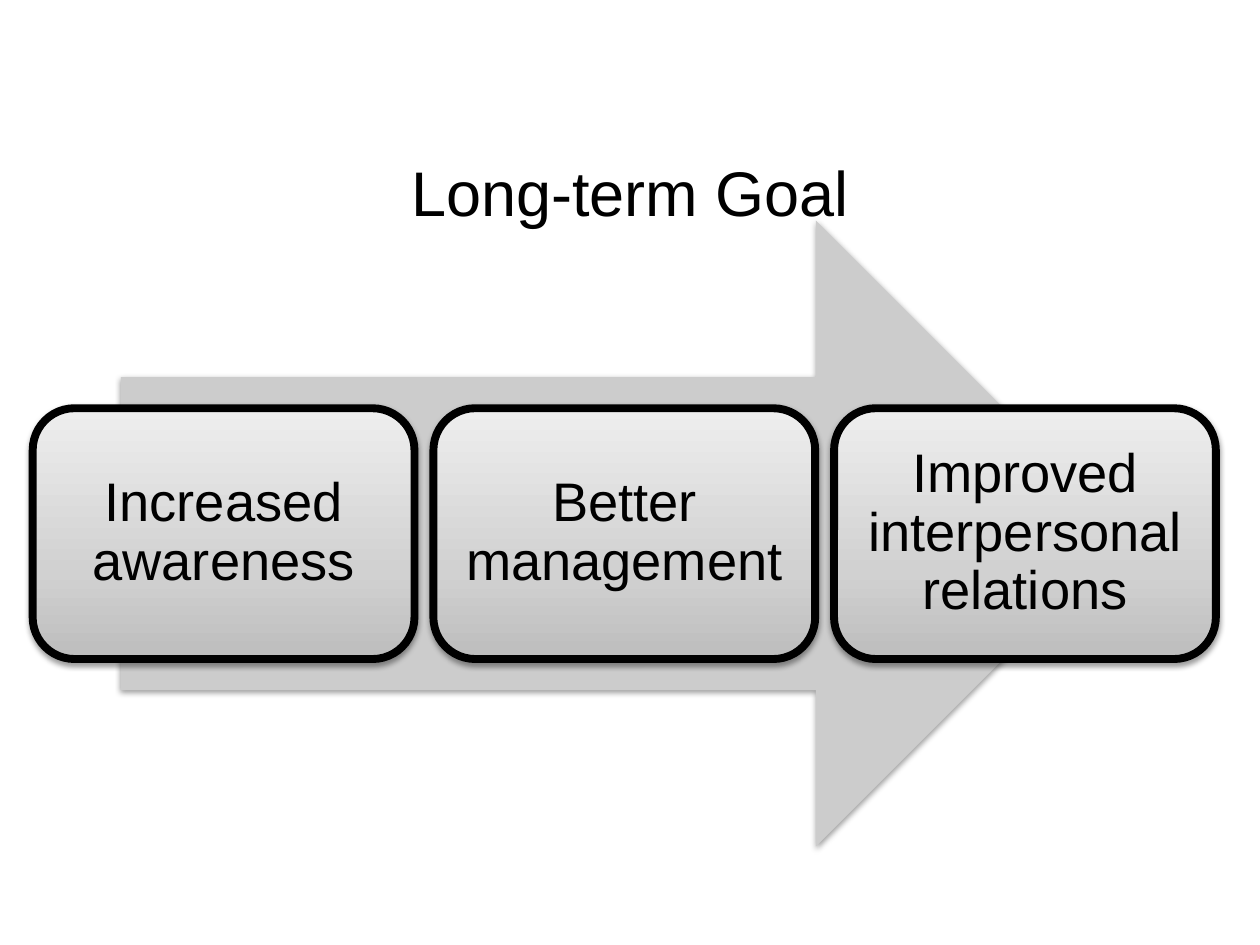
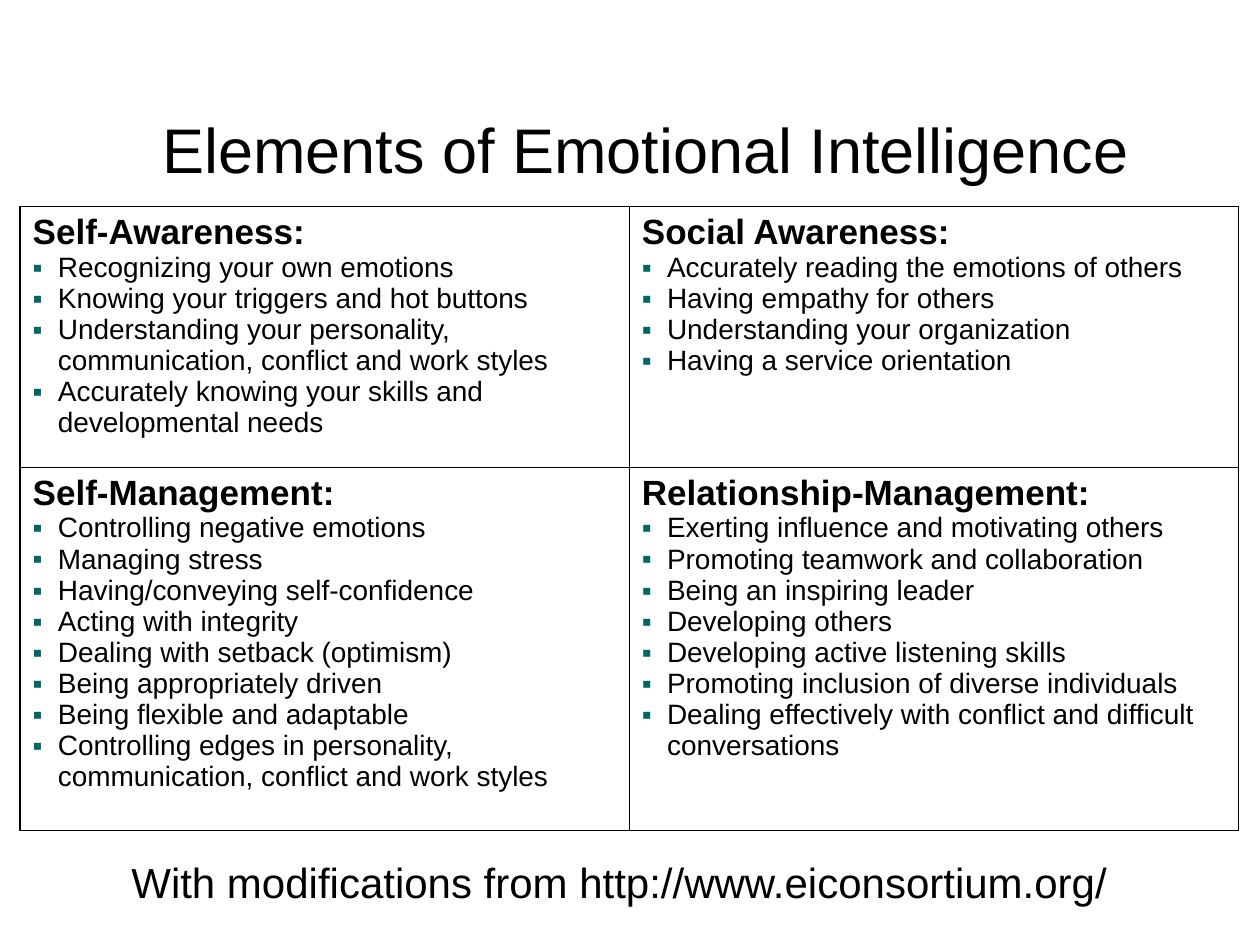
from dataclasses import dataclass

from lxml.etree import SubElement
from pptx import Presentation
from pptx.dml.color import RGBColor
from pptx.enum.shapes import MSO_SHAPE as Preset
from pptx.enum.text import MSO_ANCHOR as Anchor, PP_ALIGN as Align
from pptx.oxml.ns import qn
from pptx.util import Inches, Pt


@dataclass(frozen=True)
class Theme:
    font: str = "Arial"
    ink: str = "000000"
    paper: str = "FFFFFF"
    arrow: str = "CCCCCC"
    bullet: str = "006666"
    step_stops: tuple = ((0, "BDBDBD"), (35, "D1D1D1"), (100, "EEEEEE"))
    title_size: int = 36
    step_size: int = 31
    source_size: int = 24
    heading_size: int = 20
    item_size: int = 16


THEME = Theme()


def style(paragraph, size, align=Align.CENTER, bold=False):
    paragraph.alignment = align
    font = paragraph.font
    font.name, font.size, font.bold = THEME.font, Pt(size), bold
    font.color.rgb = RGBColor.from_string(THEME.ink)


def add_soft_shadow(shape):
    shape.shadow.inherit = False
    effects = shape._element.spPr.find(qn("a:effectLst"))
    shadow = SubElement(effects, qn("a:outerShdw"), blurRad=str(Pt(3.1)),
                        dist=str(Pt(1.6)), dir="5400000", rotWithShape="0")
    color = SubElement(shadow, qn("a:srgbClr"), val=THEME.ink)
    SubElement(color, qn("a:alpha"), val="38000")


deck = Presentation()
deck.slide_width, deck.slide_height = Inches(10), Inches(7.5)

# Titles
slides = []
for heading, top, width in (
    ("Long-term Goal", 1.17, 9),
    ("Elements of Emotional Intelligence", 0.83, 9.25),
):
    slide = deck.slides.add_slide(deck.slide_layouts[5])
    title = slide.shapes.title
    title.left, title.top = Inches(0.5), Inches(top)
    title.width, title.height = Inches(width), Inches(1.08)
    title.text_frame.text = heading
    title.text_frame.vertical_anchor = Anchor.TOP
    title.text_frame.margin_top = Inches(0.05)
    style(title.text_frame.paragraphs[0], THEME.title_size)
    slides.append(slide)
goal_slide, elements_slide = slides

# Long-term goal: three steps on an arrow
arrow = goal_slide.shapes.add_shape(
    Preset.RIGHT_ARROW, Inches(0.96), Inches(1.75), Inches(8), Inches(4.97))
arrow.fill.solid()
arrow.fill.fore_color.rgb = RGBColor.from_string(THEME.arrow)
arrow.line.fill.background()
add_soft_shadow(arrow)

STEP_LEFT, STEP_PITCH = 0.26, 3.18
steps = ("Increased awareness", "Better management", "Improved interpersonal relations")
for index, label in enumerate(steps):
    step = goal_slide.shapes.add_shape(
        Preset.ROUNDED_RECTANGLE, Inches(STEP_LEFT + index * STEP_PITCH),
        Inches(3.24), Inches(3.03), Inches(1.99))
    step.fill.gradient()
    step.fill.gradient_angle = 90
    stops = step._element.spPr.find(qn("a:gradFill")).find(qn("a:gsLst"))
    stops.clear()
    for position, color in THEME.step_stops:
        stop = SubElement(stops, qn("a:gs"), pos=str(position * 1000))
        SubElement(stop, qn("a:srgbClr"), val=color)
    step.line.color.rgb = RGBColor.from_string(THEME.ink)
    step.line.width = Pt(4.5)
    add_soft_shadow(step)
    frame = step.text_frame
    frame.word_wrap = True
    frame.vertical_anchor = Anchor.MIDDLE
    frame.margin_left = frame.margin_right = Inches(0.12)
    frame.margin_top = frame.margin_bottom = Inches(0.12)
    frame.text = label
    frame.paragraphs[0].line_spacing = 0.9
    style(frame.paragraphs[0], THEME.step_size)

# Elements of emotional intelligence: two-by-two table
quadrants = (
    (("Self-Awareness:", (
        "Recognizing your own emotions",
        "Knowing your triggers and hot buttons",
        "Understanding your personality, communication, conflict and work styles",
        "Accurately knowing your skills and developmental needs")),
     ("Social Awareness:", (
         "Accurately reading the emotions of others",
         "Having empathy for others",
         "Understanding your organization",
         "Having a service orientation"))),
    (("Self-Management:", (
        "Controlling negative emotions",
        "Managing stress",
        "Having/conveying self-confidence",
        "Acting with integrity",
        "Dealing with setback (optimism)",
        "Being appropriately driven",
        "Being flexible and adaptable",
        "Controlling edges in personality, communication, conflict and work styles")),
     ("Relationship-Management:", (
         "Exerting influence and motivating others",
         "Promoting teamwork and collaboration",
         "Being an inspiring leader",
         "Developing others",
         "Developing active listening skills",
         "Promoting inclusion of diverse individuals",
         "Dealing effectively with conflict and difficult conversations"))),
)
grid = elements_slide.shapes.add_table(
    2, 2, Inches(0.16), Inches(1.64), Inches(9.67), Inches(4.95)).table
grid.first_row = grid.horz_banding = False
for row, height in zip(grid.rows, (2.07, 2.88)):
    row.height = Inches(height)

for row_index, quadrant_row in enumerate(quadrants):
    for column_index, (heading, items) in enumerate(quadrant_row):
        cell = grid.cell(row_index, column_index)
        properties = cell._tc.get_or_add_tcPr()
        for side in ("lnL", "lnR", "lnT", "lnB"):
            border = SubElement(properties, qn(f"a:{side}"), w=str(Pt(1)))
            border_fill = SubElement(border, qn("a:solidFill"))
            SubElement(border_fill, qn("a:srgbClr"), val=THEME.ink)
        cell.fill.solid()
        cell.fill.fore_color.rgb = RGBColor.from_string(THEME.paper)
        cell.text_frame.text = heading
        style(cell.text_frame.paragraphs[0], THEME.heading_size, Align.LEFT, bold=True)
        for item in items:
            paragraph = cell.text_frame.add_paragraph()
            paragraph.text = item
            bullet = paragraph._p.get_or_add_pPr()
            bullet.set("marL", str(Inches(0.2)))
            bullet.set("indent", str(Inches(-0.2)))
            bullet_color = SubElement(bullet, qn("a:buClr"))
            SubElement(bullet_color, qn("a:srgbClr"), val=THEME.bullet)
            SubElement(bullet, qn("a:buFont"), typeface=THEME.font)
            SubElement(bullet, qn("a:buChar"), char="▪")
            style(paragraph, THEME.item_size, Align.LEFT)

source = elements_slide.shapes.add_textbox(
    Inches(0.08), Inches(6.75), Inches(9.67), Inches(0.5)).text_frame
source.word_wrap = True
source.text = "With modifications from http://www.eiconsortium.org/"
style(source.paragraphs[0], THEME.source_size)

deck.save("out.pptx")
